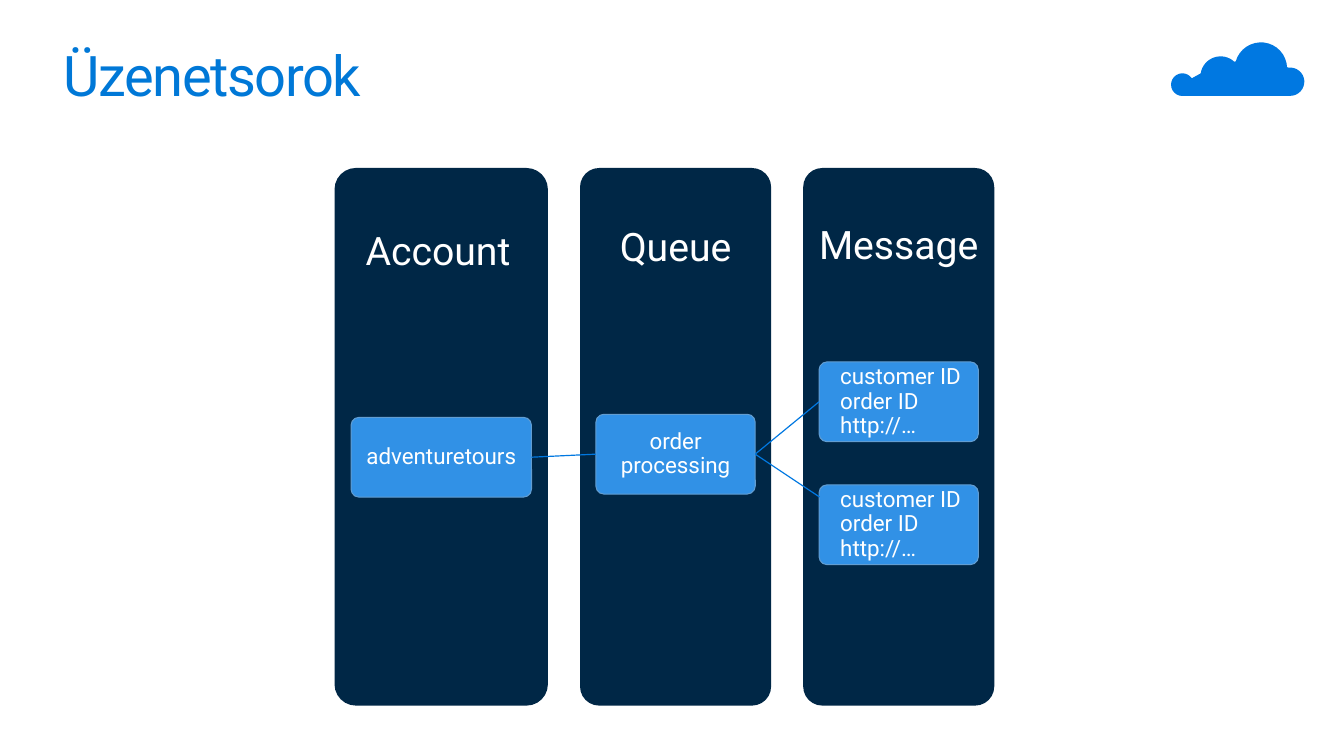
from dataclasses import dataclass
from math import cos, radians, sin

from lxml.etree import SubElement
from pptx import Presentation
from pptx.dml.color import RGBColor
from pptx.enum.shapes import MSO_CONNECTOR as Line, MSO_SHAPE as Shape
from pptx.enum.text import MSO_ANCHOR as Anchor, MSO_AUTO_SIZE as Fit, PP_ALIGN as Align
from pptx.oxml.ns import qn
from pptx.util import Pt


@dataclass(frozen=True)
class Theme:
    font: str = "Roboto"
    title: str = "0078D7"
    accent: str = "0078E1"
    panel: str = "002746"
    card: str = "3191E6"
    card_line: str = "629DD1"
    text: str = "FFFFFF"
    title_size: int = 40
    heading_size: int = 28
    card_size: int = 16


THEME = Theme()
TITLE = "Üzenetsorok"
MESSAGE = ["customer ID", "order ID", "http://…"]
COLUMNS = [
    {"heading": "Account", "width": 152.4, "heading_top": 157.7, "heading_shift": -2.3,
     "card_width": 128.9, "cards": [(298.1, ["adventuretours"])]},
    {"heading": "Queue", "width": 136.5, "heading_top": 154.8, "heading_shift": 0,
     "card_width": 113.8, "cards": [(295.9, ["order processing"])]},
    {"heading": "Message", "width": 136.5, "heading_top": 153.4, "heading_shift": 0,
     "card_width": 113.8, "cards": [(258.5, MESSAGE), (346.3, MESSAGE)]},
]
COLUMN_LEFT, COLUMN_TOP, COLUMN_HEIGHT, COLUMN_GAP = 239, 120, 384, 22.9
HEADING_HEIGHT, CARD_HEIGHT = 45.4, 57
LOWER_BRANCH_END = (585.4, 355)
CLOUD_ARCS = [
    (921.6, 58.4, 10.1, 90, -97),
    (900.7, 49, 18.7, -3, -164),
    (871.9, 54.7, 14.4, -47, -171),
    (844.6, 60.5, 8.1, -34, -270),
]
ARC_STEPS = 16


def color(value):
    return RGBColor.from_string(value)


def write(frame, lines, size, ink, align, margins=(0, 0, 0, 0), anchor=Anchor.MIDDLE):
    frame.word_wrap = True
    frame.auto_size = Fit.NONE
    frame.vertical_anchor = anchor
    frame.margin_left, frame.margin_top, frame.margin_right, frame.margin_bottom = map(Pt, margins)
    for index, line in enumerate(lines):
        paragraph = frame.add_paragraph() if index else frame.paragraphs[0]
        paragraph.alignment = align
        paragraph.line_spacing = 0.9
        run = paragraph.add_run()
        run.text = line
        run.font.name = THEME.font
        run.font.size = Pt(size)
        run.font.color.rgb = color(ink)


def add_rounded(slide, left, top, width, height, fill, outline=None):
    box = slide.shapes.add_shape(Shape.ROUNDED_RECTANGLE, Pt(left), Pt(top), Pt(width), Pt(height))
    box.shadow.inherit = False
    box.adjustments[0] = 0.1
    box.fill.solid()
    box.fill.fore_color.rgb = color(fill)
    if outline:
        box.line.color.rgb = color(outline)
        box.line.width = Pt(0.75)
    else:
        box.line.fill.background()
    return box


def add_title(slide):
    title = slide.shapes.title
    title.left, title.top, title.width, title.height = map(Pt, (33.8, 27.4, 658.8, 157))
    write(title.text_frame, [TITLE], THEME.title_size, THEME.title, Align.LEFT,
          (11.5, 7.2, 11.5, 7.2), Anchor.TOP)
    title.text_frame.paragraphs[0].runs[0]._r.get_or_add_rPr().set("spc", "-100")


def add_cloud(slide):
    outline = []
    for x, y, radius, start, end in CLOUD_ARCS:
        for step in range(ARC_STEPS + 1):
            angle = radians(start + (end - start) * step / ARC_STEPS)
            outline.append((Pt(x + radius * cos(angle)), Pt(y + radius * sin(angle))))
    builder = slide.shapes.build_freeform(*outline[0])
    builder.add_line_segments(outline[1:], close=True)
    cloud = builder.convert_to_shape()
    cloud.shadow.inherit = False
    cloud.fill.solid()
    cloud.fill.fore_color.rgb = color(THEME.accent)
    cloud.line.fill.background()


def add_column(slide, column, left):
    width = column["width"]
    add_rounded(slide, left, COLUMN_TOP, width, COLUMN_HEIGHT, THEME.panel)
    heading = slide.shapes.add_textbox(Pt(left + column["heading_shift"]), Pt(column["heading_top"]),
                                       Pt(width), Pt(HEADING_HEIGHT))
    write(heading.text_frame, [column["heading"]], THEME.heading_size, THEME.text, Align.CENTER)
    cards = []
    card_left = left + (width - column["card_width"]) / 2
    for top, lines in column["cards"]:
        card = add_rounded(slide, card_left, top, column["card_width"], CARD_HEIGHT,
                           THEME.card, THEME.card_line)
        is_list = len(lines) > 1
        write(card.text_frame, lines, THEME.card_size, THEME.text,
              Align.LEFT if is_list else Align.CENTER, (13.5 if is_list else 1, 1, 1, 1))
        cards.append(card)
    return cards


def add_link(slide, source, target=None, end=(0, 0)):
    link = slide.shapes.add_connector(Line.STRAIGHT, 0, 0, Pt(end[0]), Pt(end[1]))
    link.begin_connect(source, 3)
    if target is not None:
        link.end_connect(target, 1)
    link.line.color.rgb = color(THEME.accent)
    link.line.width = Pt(0.85)
    SubElement(link._element.spPr, qn("a:effectLst"))


def main():
    deck = Presentation()
    deck.slide_width, deck.slide_height = Pt(960), Pt(540)
    slide = deck.slides.add_slide(deck.slide_layouts[5])
    add_title(slide)
    add_cloud(slide)
    cards = []
    left = COLUMN_LEFT
    for column in COLUMNS:
        cards += add_column(slide, column, left)
        left += column["width"] + COLUMN_GAP
    account, queue, upper_message, lower_message = cards
    add_link(slide, account, queue)
    add_link(slide, queue, upper_message)
    add_link(slide, queue, end=LOWER_BRANCH_END)
    deck.save("out.pptx")


if __name__ == "__main__":
    main()
